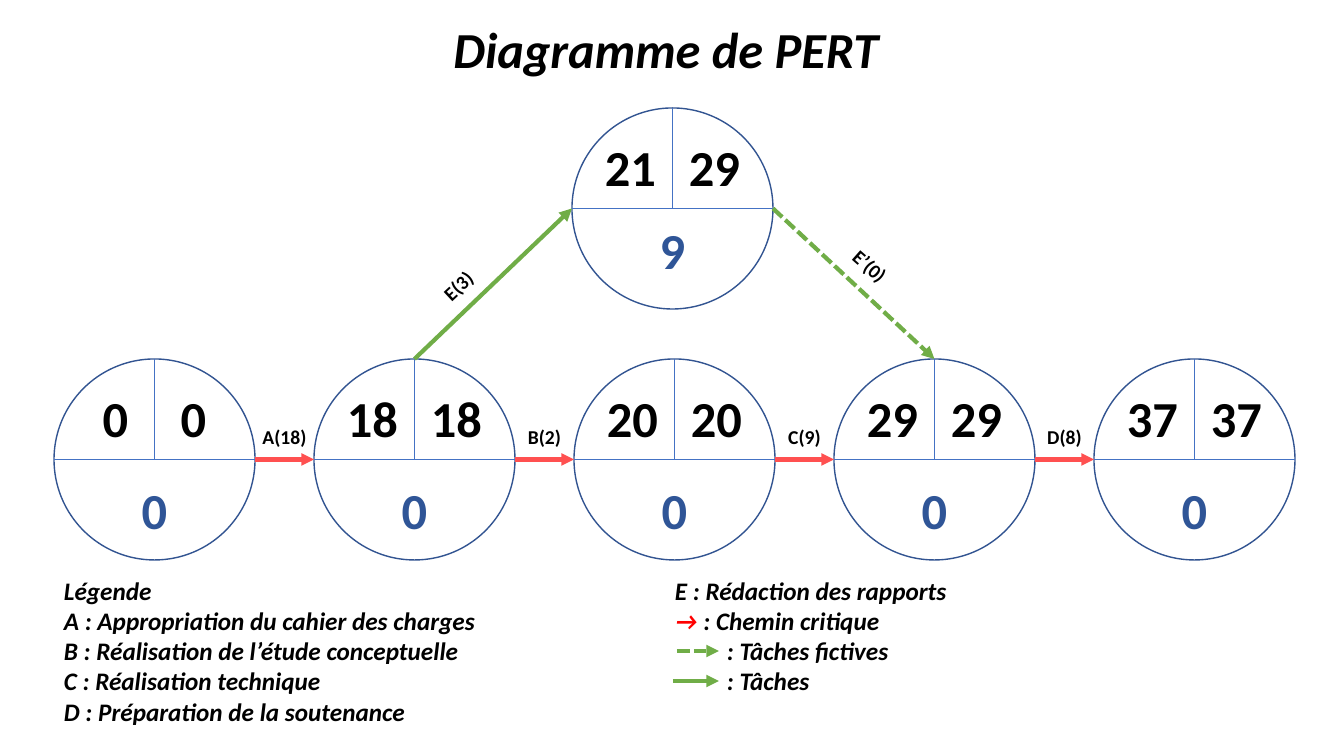
"""Builds a PERT diagram slide with its legend."""
import pptx
import pptx.dml.color
import pptx.enum.dml
import pptx.enum.shapes
import pptx.enum.text
import pptx.oxml.ns
import pptx.oxml.xmlchemy
import pptx.util

PIXEL = 914400 / 100.8
COLORS = {
    "text": "000000",
    "outline": "325491",
    "divider": "4472C4",
    "slack": "2F5597",
    "critical": "FF5050",
    "critical_key": "FF0000",
    "task": "70AD47",
}
DIAMETER = 201
RADIUS = 100.5
ALIGN = pptx.enum.text.PP_ALIGN


def emu(pixels):
    return pptx.util.Emu(round(pixels * PIXEL))


def rgb(name):
    return pptx.dml.color.RGBColor.from_string(COLORS[name])


class Diagram:
    """Holds the style and the slide, and draws each kind of element."""

    font = "Calibri"

    def __init__(self, slide):
        self.slide = slide

    def text(self, box, lines, size, color="text", align=ALIGN.CENTER, italic=False, rotation=0):
        shape = self.slide.shapes.add_textbox(*map(emu, box))
        shape.rotation = rotation
        frame = shape.text_frame
        frame.word_wrap = True
        for index, line in enumerate(lines):
            paragraph = frame.paragraphs[0] if index == 0 else frame.add_paragraph()
            paragraph.text = line
            paragraph.alignment = align
            paragraph.font.name = self.font
            paragraph.font.size = pptx.util.Pt(size)
            paragraph.font.bold = True
            paragraph.font.italic = italic
            paragraph.font.color.rgb = rgb(color)
        return frame

    def line(self, start, end, color, width, arrow=False, dashed=False):
        connector = self.slide.shapes.add_connector(
            pptx.enum.shapes.MSO_CONNECTOR.STRAIGHT, *map(emu, (*start, *end)))
        connector.line.color.rgb = rgb(color)
        connector.line.width = pptx.util.Pt(width)
        if dashed:
            connector.line.dash_style = pptx.enum.dml.MSO_LINE.SQUARE_DOT
        if arrow:
            tail = pptx.oxml.xmlchemy.OxmlElement("a:tailEnd")
            tail.set("type", "triangle")
            connector.line._get_or_add_ln().append(tail)
        properties = connector._element.find(pptx.oxml.ns.qn("p:spPr"))
        properties.append(pptx.oxml.xmlchemy.OxmlElement("a:effectLst"))

    def arrow(self, start, end, color, dashed=False):
        self.line(start, end, color, 3, arrow=True, dashed=dashed)

    def node(self, left, top, earliest, latest, slack, spread=42, slack_offset=115):
        circle = self.slide.shapes.add_shape(
            pptx.enum.shapes.MSO_SHAPE.OVAL, *map(emu, (left, top, DIAMETER, DIAMETER)))
        circle.shadow.inherit = False
        circle.fill.background()
        circle.line.color.rgb = rgb("outline")
        circle.line.width = pptx.util.Pt(1)
        center, middle = left + RADIUS, top + RADIUS
        self.line((left, middle), (left + DIAMETER, middle), "divider", 0.5)
        self.line((center, top), (center, middle), "divider", 0.5)
        for value, offset, drop, color in (
                (earliest, -spread, 23, "text"),
                (latest, spread, 23, "text"),
                (slack, 0, slack_offset, "slack")):
            self.text((center + offset - 40, top + drop, 80, 72), [value], 36, color)

    def task_label(self, center, middle, name, rotation=0):
        self.text((center - 40, middle - 17, 80, 34), [name], 14, rotation=rotation)


presentation = pptx.Presentation()
presentation.slide_width = emu(1344)
presentation.slide_height = emu(756)
diagram = Diagram(presentation.slides.add_slide(presentation.slide_layouts[6]))

diagram.text((207, 13, 918, 72), ["Diagramme de PERT"], 36, italic=True)

ROW_LEFT, ROW_TOP, STEP = 54, 359, 260
TOP_LEFT, TOP_TOP = 572, 108
row_middle, top_middle = ROW_TOP + RADIUS, TOP_TOP + RADIUS

for index, value in enumerate(("0", "18", "20", "29", "37")):
    diagram.node(ROW_LEFT + index * STEP, ROW_TOP, value, value, "0",
                 spread=39 if len(value) == 1 else 42)
diagram.node(TOP_LEFT, TOP_TOP, "21", "29", "9", slack_offset=106)

for index, name in enumerate(("A(18)", "B(2)", "C(9)", "D(8)")):
    start = ROW_LEFT + index * STEP + DIAMETER
    end = ROW_LEFT + (index + 1) * STEP
    diagram.arrow((start, row_middle), (end, row_middle), "critical")
    diagram.task_label((start + end) / 2, 437, name)

second_center, fourth_center = (ROW_LEFT + index * STEP + RADIUS for index in (1, 3))
diagram.arrow((second_center, ROW_TOP), (TOP_LEFT, top_middle), "task")
diagram.arrow((TOP_LEFT + DIAMETER, top_middle), (fourth_center, ROW_TOP), "task", dashed=True)
diagram.task_label(458, 286, "E(3)", rotation=316.9)
diagram.task_label(870, 266, "E’(0)", rotation=41.4)

legend_style = {"size": 18, "align": ALIGN.LEFT, "italic": True}
diagram.text((54, 570, 600, 162), [
    "Légende",
    "A : Appropriation du cahier des charges",
    "B : Réalisation de l’étude conceptuelle",
    "C : Réalisation technique",
    "D : Préparation de la soutenance",
], **legend_style)
keys = diagram.text((665, 570, 600, 132), [
    "E : Rédaction des rapports",
    "→ ",
    ": Tâches fictives",
    ": Tâches",
], **legend_style).paragraphs
keys[1].runs[0].font.color.rgb = rgb("critical_key")
keys[1].add_run().text = ": Chemin critique"
for paragraph in keys[2:]:
    paragraph._p.get_or_add_pPr().set("marL", str(emu(52)))
diagram.arrow((677, 651), (719, 651), "task", dashed=True)
diagram.arrow((673, 681), (719, 681), "task")

presentation.save("out.pptx")
